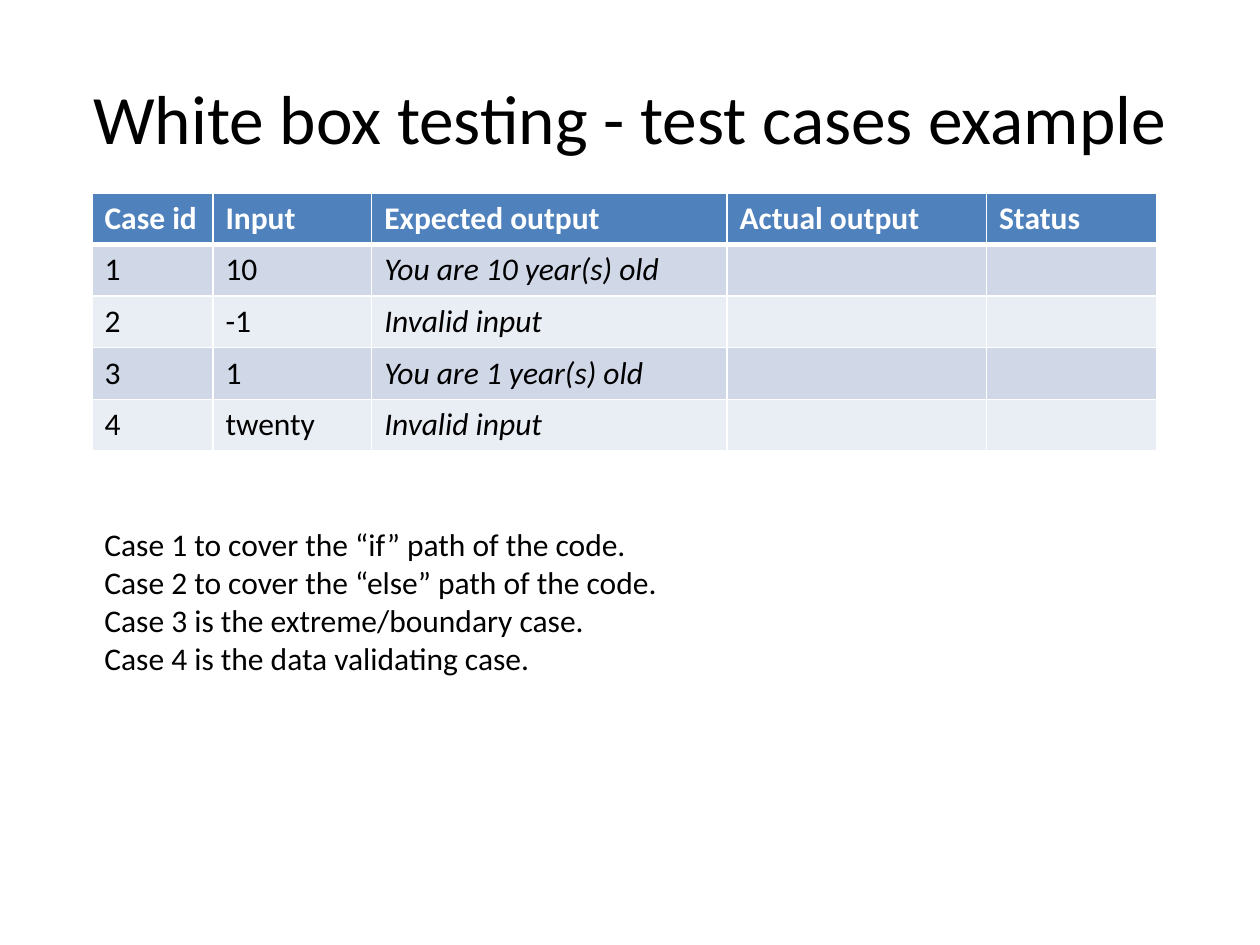
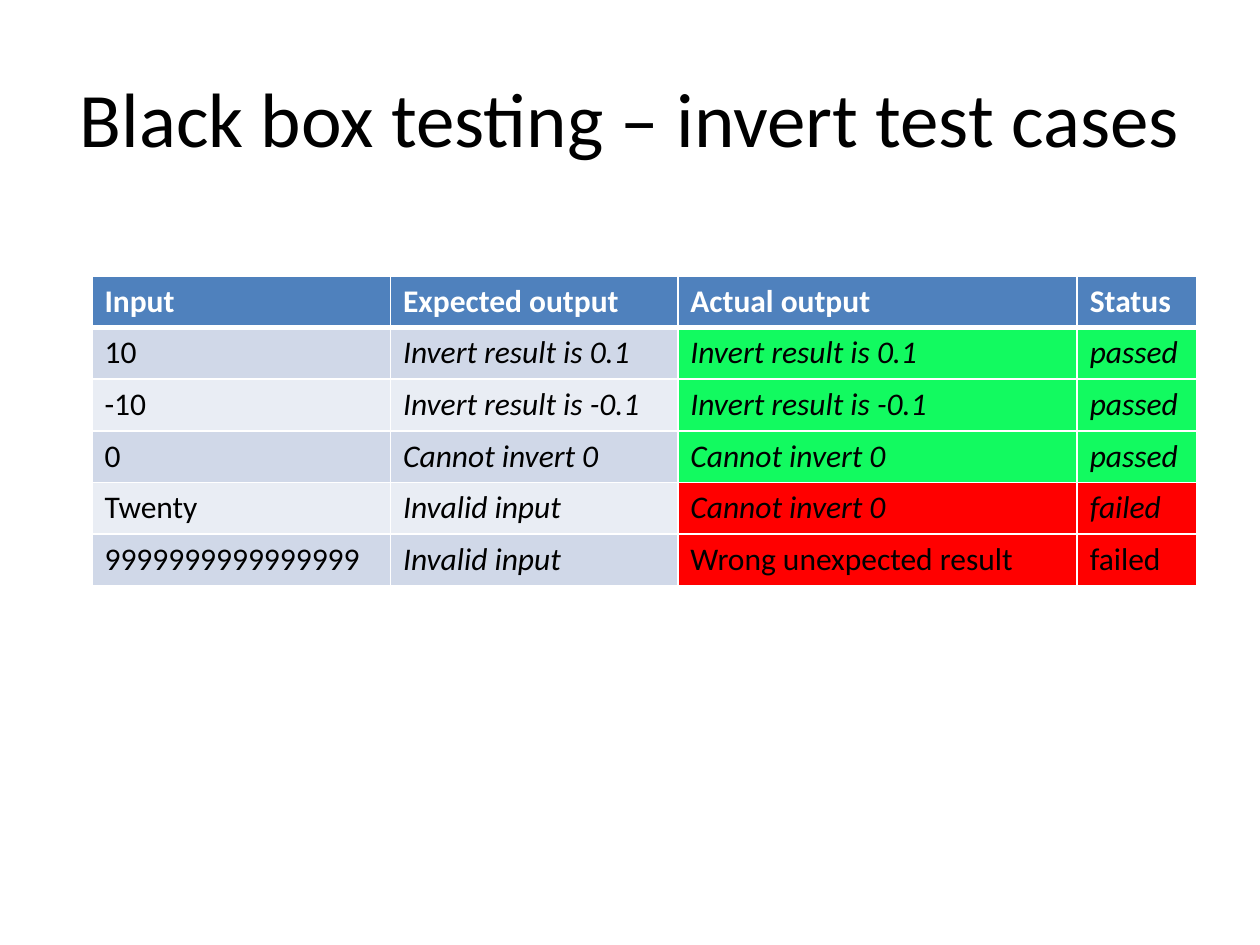
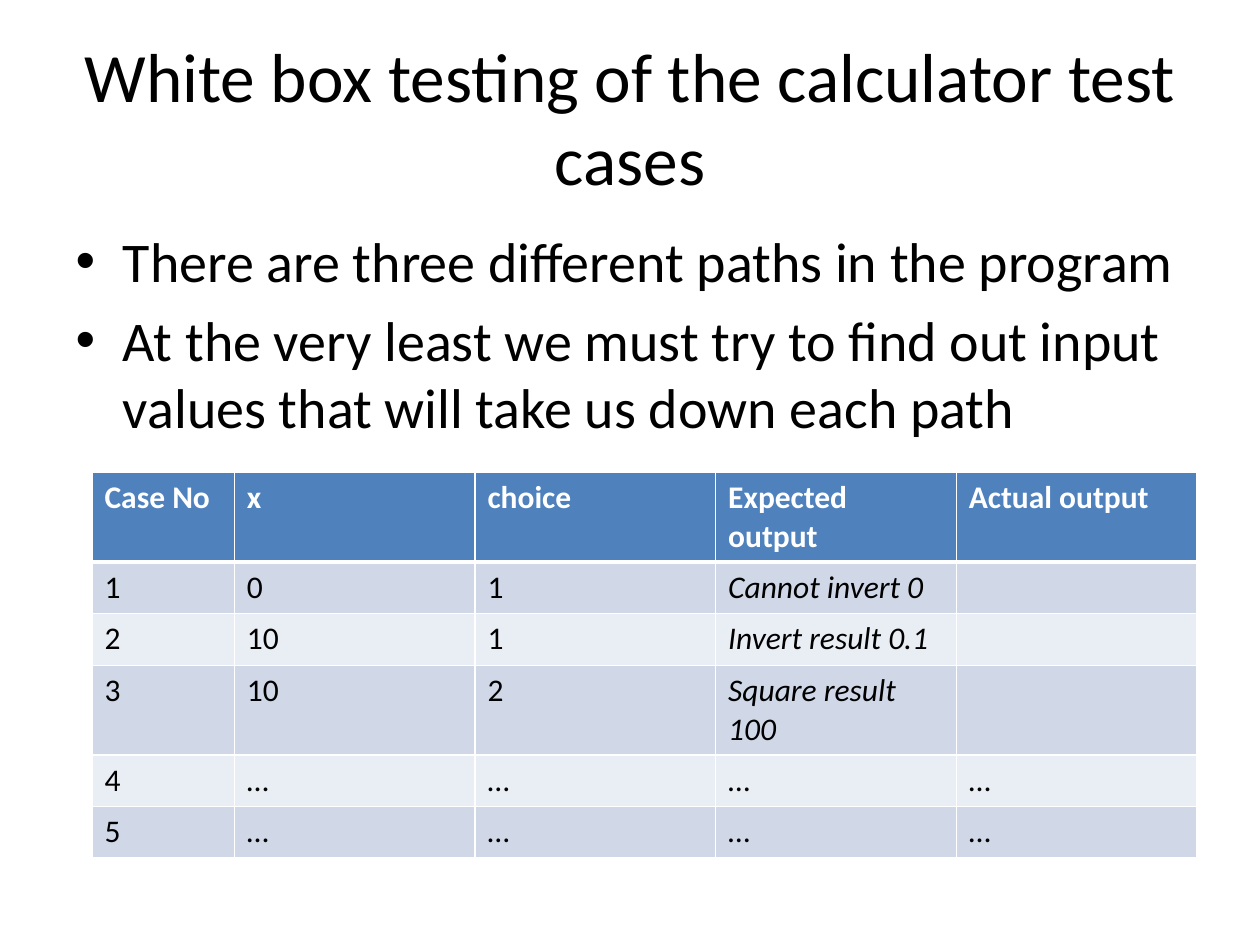
from dataclasses import dataclass

from pptx import Presentation
from pptx.dml.color import RGBColor
from pptx.enum.text import MSO_ANCHOR, MSO_AUTO_SIZE, PP_ALIGN
from pptx.oxml.ns import qn
from pptx.util import Inches, Pt
from lxml.etree import SubElement


@dataclass(frozen=True)
class Theme:
    font: str = "Calibri"
    text: str = "000000"
    white: str = "FFFFFF"
    header: str = "4F81BD"
    bands: tuple = ("D0D8E8", "E9EDF4")
    passed: str = "12FA60"
    failed: str = "FF0000"
    title: float = 44
    long_title: float = 39.6
    body: float = 32
    small: float = 18
    rule: float = 1
    header_rule: float = 3


THEME = Theme()
TITLE_BOX = (0.5, 0.3, 9, 1.25)
BODY_BOX = (0.5, 1.75, 9, 4.95)
LEFT = 0.73
ROW_HEIGHT = 0.41
TITLE_AND_BODY, TITLE_ONLY = 1, 5


class Msg(str):
    """A message from the tested program, set in italics."""


def place(sp, box):
    for name, value in zip(("left", "top", "width", "height"), box):
        setattr(sp, name, Inches(value))


def write(p, text, size, color=THEME.text, **formats):
    r = p.add_run()
    r.text = text
    for name, value in dict(name=THEME.font, size=Pt(size), **formats).items():
        setattr(r.font, name, value)
    r.font.color.rgb = RGBColor.from_string(color)


def write_lines(tf, lines, size, **formats):
    tf.word_wrap = True
    tf.auto_size = MSO_AUTO_SIZE.NONE
    for i, line in enumerate(lines):
        p = tf.add_paragraph() if i else tf.paragraphs[0]
        write(p, line, size, **formats)


def add_slide(prs, title, size, layout=TITLE_ONLY):
    s = prs.slides.add_slide(prs.slide_layouts[layout])
    sp = s.shapes.title
    place(sp, TITLE_BOX)
    tf = sp.text_frame
    write_lines(tf, [title], size)
    tf.vertical_anchor = MSO_ANCHOR.MIDDLE
    tf.paragraphs[0].alignment = PP_ALIGN.CENTER
    return s


def add_body(s, lines):
    sp = s.placeholders[1]
    place(sp, BODY_BOX)
    write_lines(sp.text_frame, lines, THEME.body)


def add_notes_box(s, box, lines):
    sp = s.shapes.add_textbox(*map(Inches, box))
    write_lines(sp.text_frame, lines, THEME.small)


def set_borders(cell, bottom, top):
    tcPr = cell._tc.get_or_add_tcPr()
    widths = {"L": THEME.rule, "R": THEME.rule, "T": top, "B": bottom}
    for side, width in widths.items():
        ln = SubElement(tcPr, qn(f"a:ln{side}"), w=str(Pt(width)))
        fill = SubElement(ln, qn("a:solidFill"))
        SubElement(fill, qn("a:srgbClr"), val=THEME.white)


def add_case_table(s, top, widths, rows, verdict_columns=()):
    """Draw a banded table; verdict columns are coloured by each row's last cell."""
    verdicts = {"passed": THEME.passed, "failed": THEME.failed}
    box = (LEFT, top, sum(widths), ROW_HEIGHT * len(rows))
    table = s.shapes.add_table(len(rows), len(widths), *map(Inches, box)).table
    for column, width in zip(table.columns, widths):
        column.width = Inches(width)
    for i, row in enumerate(rows):
        table.rows[i].height = Inches(ROW_HEIGHT)
        is_header = i == 0
        base = THEME.header if is_header else THEME.bands[(i - 1) % 2]
        for j, text in enumerate(row):
            cell = table.cell(i, j)
            set_borders(cell,
                        bottom=THEME.header_rule if is_header else THEME.rule,
                        top=THEME.header_rule if i == 1 else THEME.rule)
            fill = verdicts.get(row[-1], base) if j in verdict_columns else base
            cell.fill.solid()
            cell.fill.fore_color.rgb = RGBColor.from_string(fill)
            p = cell.text_frame.paragraphs[0]
            p.font.size = Pt(THEME.small)
            if text:
                write(p, text, THEME.small,
                      THEME.white if is_header else THEME.text,
                      bold=is_header, italic=isinstance(text, Msg))


def white_box_example(prs):
    s = add_slide(prs, "White box testing - test cases example", THEME.long_title)
    add_case_table(s, 1.53, (0.96, 1.26, 2.82, 2.06, 1.35), [
        ("Case id", "Input", "Expected output", "Actual output", "Status"),
        ("1", "10", Msg("You are 10 year(s) old"), "", ""),
        ("2", "-1", Msg("Invalid input"), "", ""),
        ("3", "1", Msg("You are 1 year(s) old"), "", ""),
        ("4", "twenty", Msg("Invalid input"), "", ""),
    ])
    add_notes_box(s, (LEFT, 4.12, 7.69, 1.31), [
        "Case 1 to cover the “if” path of the code.",
        "Case 2 to cover the “else” path of the code.",
        "Case 3 is the extreme/boundary case.",
        "Case 4 is the data validating case.",
    ])


def black_box_invert(prs):
    s = add_slide(prs, "Black box testing – invert test cases", THEME.title)
    tenth, minus_tenth = Msg("Invert result is 0.1"), Msg("Invert result is -0.1")
    zero, invalid = Msg("Cannot invert 0"), Msg("Invalid input")
    passed = Msg("passed")
    add_case_table(s, 2.19, (2.37, 2.28, 3.17, 0.95), [
        ("Input", "Expected output", "Actual output", "Status"),
        ("10", tenth, tenth, passed),
        ("-10", minus_tenth, minus_tenth, passed),
        ("0", zero, zero, passed),
        ("Twenty", invalid, zero, Msg("failed")),
        ("9999999999999999", invalid, "Wrong unexpected result", "failed"),
    ], verdict_columns=(2, 3))


def white_box_calculator(prs):
    s = add_slide(prs, "White box testing of the calculator test cases",
                  THEME.long_title, TITLE_AND_BODY)
    add_body(s, [
        "There are three different paths in the program",
        "At the very least we must try to find out input values "
        "that will take us down each path",
    ])
    add_case_table(s, 3.75, (1.13,) + (1.91,) * 4, [
        ("Case No", "x", "choice", "Expected output", "Actual output"),
        ("1", "0", "1", Msg("Cannot invert 0"), ""),
        ("2", "10", "1", Msg("Invert result 0.1"), ""),
        ("3", "10", "2", Msg("Square result 100"), ""),
        ("4",) + ("…",) * 4,
        ("5",) + ("…",) * 4,
    ])


def main():
    prs = Presentation()
    prs.slide_width, prs.slide_height = Inches(10), Inches(7.5)
    for build in (white_box_example, black_box_invert, white_box_calculator):
        build(prs)
    prs.save("out.pptx")


if __name__ == "__main__":
    main()
